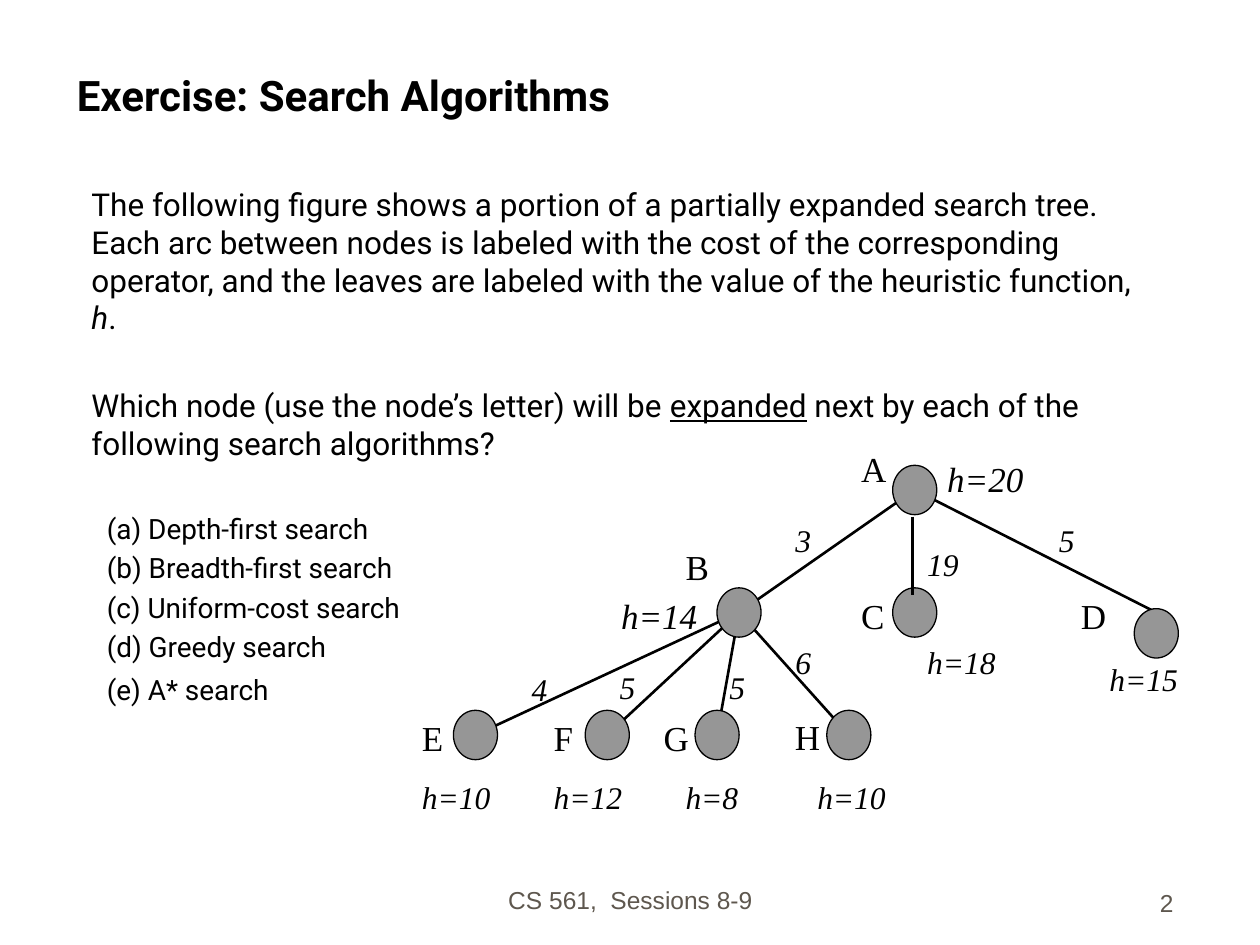
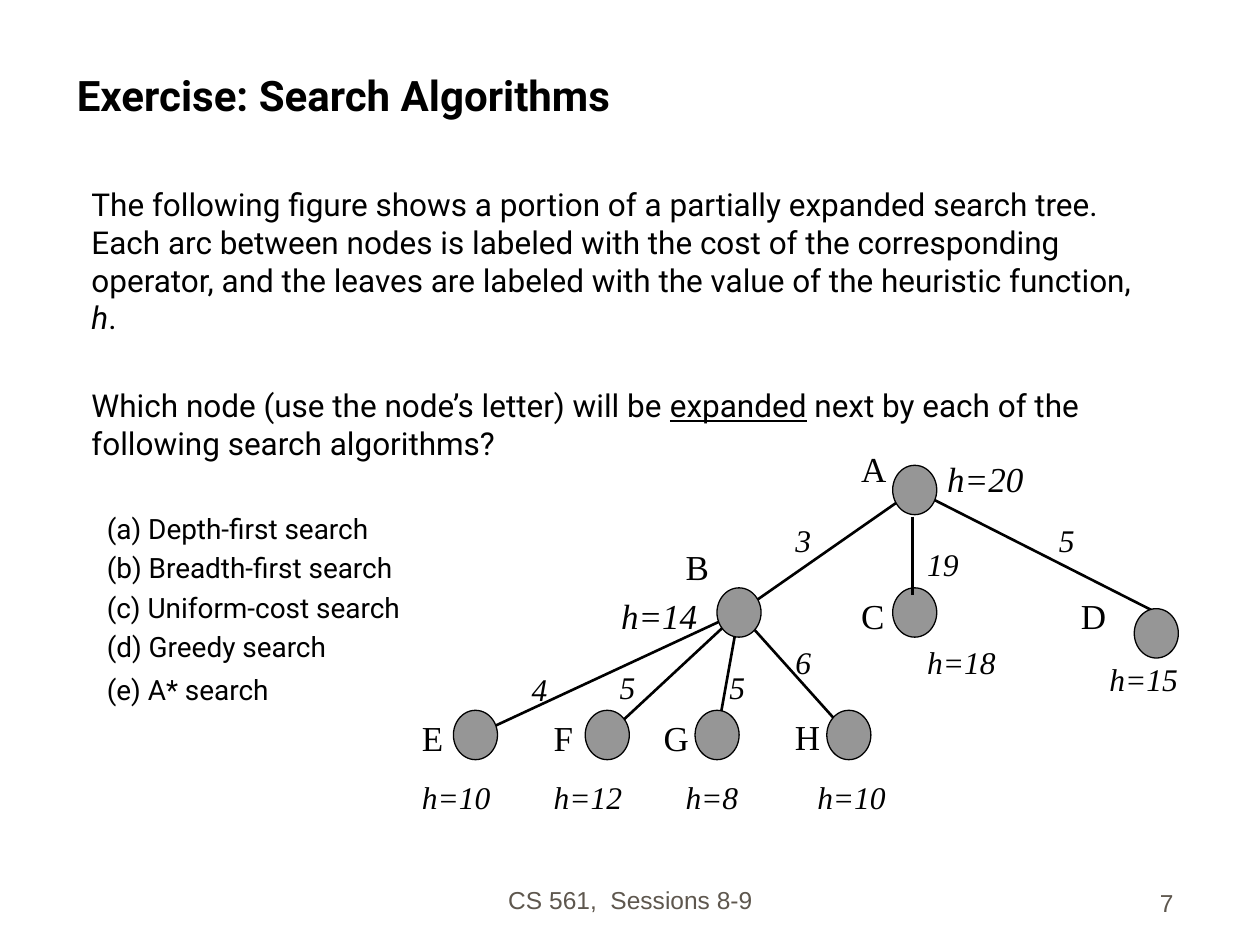
from pptx import Presentation
from pptx.dml.color import RGBColor
from pptx.enum.shapes import MSO_CONNECTOR as CONN, MSO_SHAPE as SHAPE
from pptx.enum.text import MSO_ANCHOR as ANCHOR, MSO_AUTO_SIZE as FIT, PP_ALIGN as ALIGN
from pptx.oxml.ns import qn
from pptx.util import Pt
from lxml import etree

COLORS = {"ink": "000000", "footer": "5E574E", "node": "969696", "paper": "FFFFFF"}
SANS, SERIF, FOOT = "Roboto", "Times New Roman", "Arial"
FOOTER = "CS 561,  Sessions 8-9"

# The tree sits on a grid whose origin is node E's column and node A's row.
COL, ROW, LEFT, TOP = 12.55, 14, 271.7, 280
NODE_W, NODE_H = 25.2, 28.2
LABEL_W, LABEL_H = 3 * COL, 42

NODES = {"A": (20, 0), "B": (12, 5), "C": (20, 5), "D": (31, 5.85),
         "E": (0, 10), "F": (6, 10), "G": (11, 10), "H": (17, 10)}
EDGES = ["AB", "BE", "BF", "BG", "BH"]
COSTS = [("3", 14, 1), ("19", 20, 2), ("5", 26, 1),
         ("4", 2, 7.1), ("5", 6, 7), ("5", 11, 7), ("6", 14, 6)]
LETTERS = [("A", 17, -2), ("B", 9, 2), ("C", 17, 4), ("D", 27, 4),
           ("E", -3, 9), ("F", 3, 9), ("G", 8, 9)]
HEURISTICS = [("h=18", 20, 6), ("h=15", 28.3, 6.7), ("h=10", -3, 11.5),
              ("h=12", 3, 11.5), ("h=8", 9, 11.5), ("h=10", 15, 11.5)]
FREE_LABELS = [("H", 447.1, 405.4, False), ("h=20", 534.2, 257.8, True),
               ("h=14", 347.8, 336.2, True)]

INTRO = [("The following figure shows a portion of a partially expanded search tree. "
          "Each arc between nodes is labeled with the cost of the corresponding operator, "
          "and the leaves are labeled with the value of the heuristic function, ", None),
         ("h", "italic"), (".", None)]
QUESTION = [("Which node (use the node’s letter) will be ", None), ("expanded", "underline"),
            (" next by each of the following search algorithms?", None)]
# Text and space before it
ALGORITHMS = [("(a) Depth-first search", 28.4), ("(b) Breadth-first search", 3.2),
              ("(c) Uniform-cost search", 3.2), ("(d) Greedy search", 3.2),
              ("(e) A* search", 5.5)]


def rgb(name):
    return RGBColor.from_string(COLORS[name])


def at(col, row):
    return LEFT + col * COL, TOP + row * ROW


class Deck:
    def __init__(self):
        self.prs = Presentation()
        self.prs.slide_width, self.prs.slide_height = Pt(720), Pt(540)
        self.s = None

    def font(self, p, size, name, color="ink", bold=False, italic=False):
        f = p.font
        f.size, f.name, f.bold, f.italic = Pt(size), name, bold, italic
        f.color.rgb = rgb(color)

    def add_slide(self, title):
        self.s = self.prs.slides.add_slide(self.prs.slide_layouts[5])
        sp = self.s.shapes.title
        sp.left, sp.top, sp.width, sp.height = Pt(36.7), Pt(18), Pt(642.2), Pt(54)
        tf = sp.text_frame
        tf.text = title
        tf.auto_size, tf.vertical_anchor = FIT.NONE, ANCHOR.BOTTOM
        p = tf.paragraphs[0]
        p.alignment = ALIGN.LEFT
        self.font(p, 24, SANS, bold=True)

    def textbox(self, x, y, w, h, wrap=True):
        tf = self.s.shapes.add_textbox(Pt(x), Pt(y), Pt(w), Pt(h)).text_frame
        tf.word_wrap = wrap
        return tf

    def footer(self, text, x, y, w, align):
        tf = self.textbox(x, y, w, 36)
        tf.text, tf.vertical_anchor = text, ANCHOR.BOTTOM
        p = tf.paragraphs[0]
        p.alignment = align
        self.font(p, 14, FOOT, "footer")

    def paragraph(self, p, runs, size, margin, before=0):
        p.space_before = Pt(before)
        p._p.get_or_add_pPr().set("marL", str(Pt(margin)))
        self.font(p, size, SANS)
        for text, style in runs:
            r = p.add_run()
            r.text = text
            if style:
                setattr(r.font, style, True)

    def body(self):
        tf = self.textbox(18, 102.2, 643.7, 375)
        self.paragraph(tf.paragraphs[0], INTRO, 18, 27.2)
        self.paragraph(tf.add_paragraph(), QUESTION, 18, 27.2, 28.7)
        for text, before in ALGORITHMS:
            self.paragraph(tf.add_paragraph(), [(text, None)], 16, 36, before)

    def shape(self, kind, x, y, w, h, fill):
        sp = self.s.shapes.add_shape(kind, Pt(x), Pt(y), Pt(w), Pt(h))
        sp.shadow.inherit = False
        sp.fill.solid()
        sp.fill.fore_color.rgb = rgb(fill)
        return sp

    def label(self, text, col, row, size, italic=True, width=LABEL_W):
        sp = self.shape(SHAPE.RECTANGLE, *at(col, row), width, LABEL_H, "paper")
        sp.line.fill.background()
        tf = sp.text_frame
        tf.text, tf.vertical_anchor = text, ANCHOR.TOP
        p = tf.paragraphs[0]
        p.alignment = ALIGN.LEFT
        self.font(p, size, SERIF, italic=italic)

    def free_label(self, text, x, y, italic):
        tf = self.textbox(x, y, 58 if italic else 29, 31, wrap=False)
        tf.text = text
        self.font(tf.paragraphs[0], 20, SERIF, italic=italic)

    def node(self, col, row):
        x, y = at(col, row)
        sp = self.shape(SHAPE.OVAL, x - NODE_W / 2, y - NODE_H / 2, NODE_W, NODE_H, "node")
        sp.line.color.rgb, sp.line.width = rgb("ink"), Pt(0.75)

    def edge(self, start, end):
        c = self.s.shapes.add_connector(CONN.STRAIGHT, *map(Pt, start + end))
        c.line.color.rgb, c.line.width = rgb("ink"), Pt(1.5)
        etree.SubElement(c._element.spPr, qn("a:effectLst"))

    def tree(self):
        # Opaque labels go from top to bottom, so each covers only empty space.
        for text, col, row in COSTS:
            self.label(text, col, row, 18)
        for text, col, row in LETTERS:
            self.label(text, col, row, 20, italic=False)
        for text, col, row in HEURISTICS:
            self.label(text, col, row, 18, width=2 * LABEL_W)
        for parent, child in EDGES:
            self.edge(at(*NODES[parent]), at(*NODES[child]))
        self.edge(at(*NODES["A"]), at(31, 5))
        for place in NODES.values():
            self.node(*place)
        self.edge((521.3, 295.2), (521.3, 339.8))  # A to C, over the nodes
        for item in FREE_LABELS:
            self.free_label(*item)


def main():
    deck = Deck()
    for page in (2, 7):
        deck.add_slide("Exercise: Search Algorithms")
        deck.footer(FOOTER, 246.2, 490.3, 228.2, ALIGN.CENTER)
        deck.footer(str(page), 527.8, 491.8, 149.8, ALIGN.RIGHT)
        deck.body()
        deck.tree()
    deck.prs.save("out.pptx")


if __name__ == "__main__":
    main()
